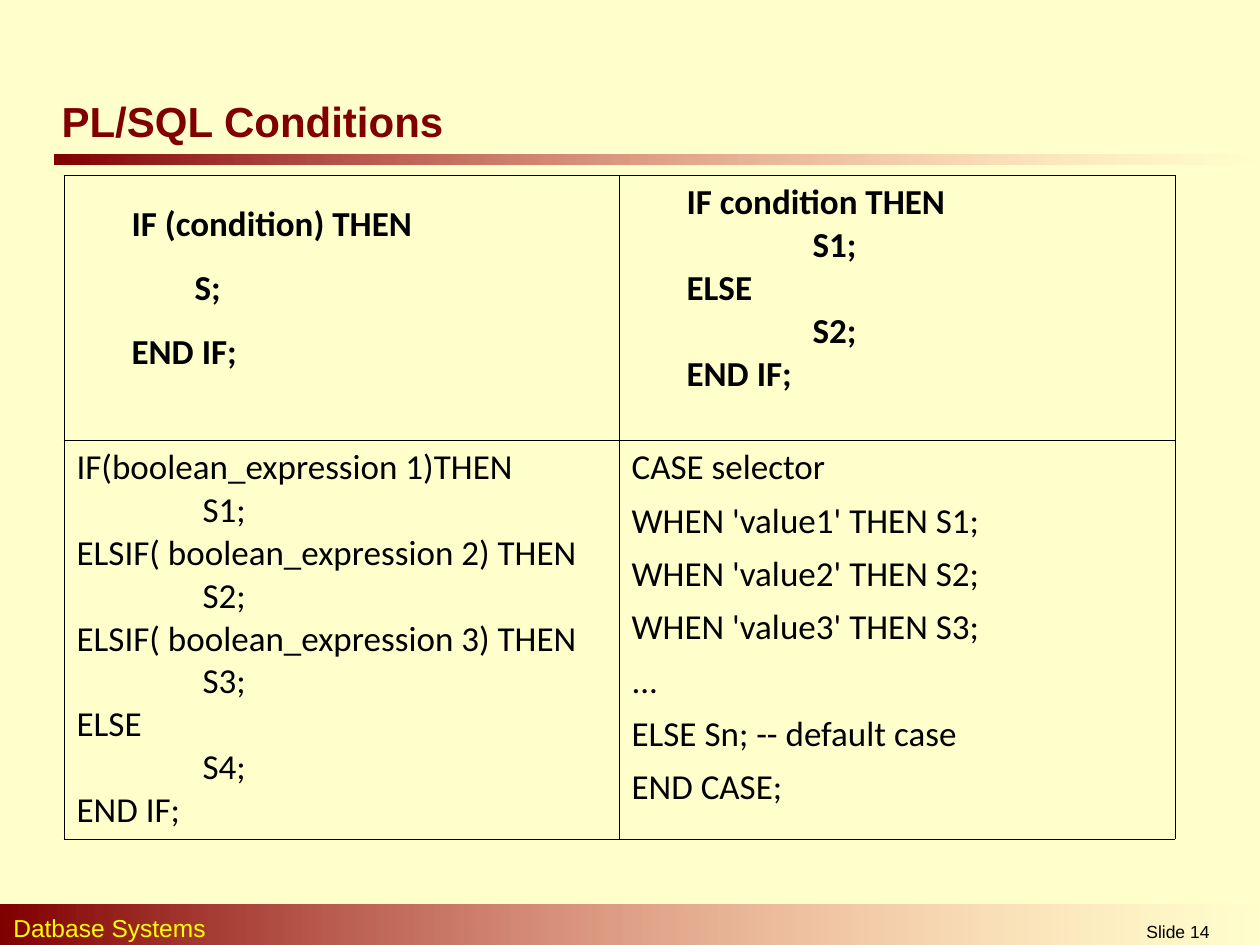
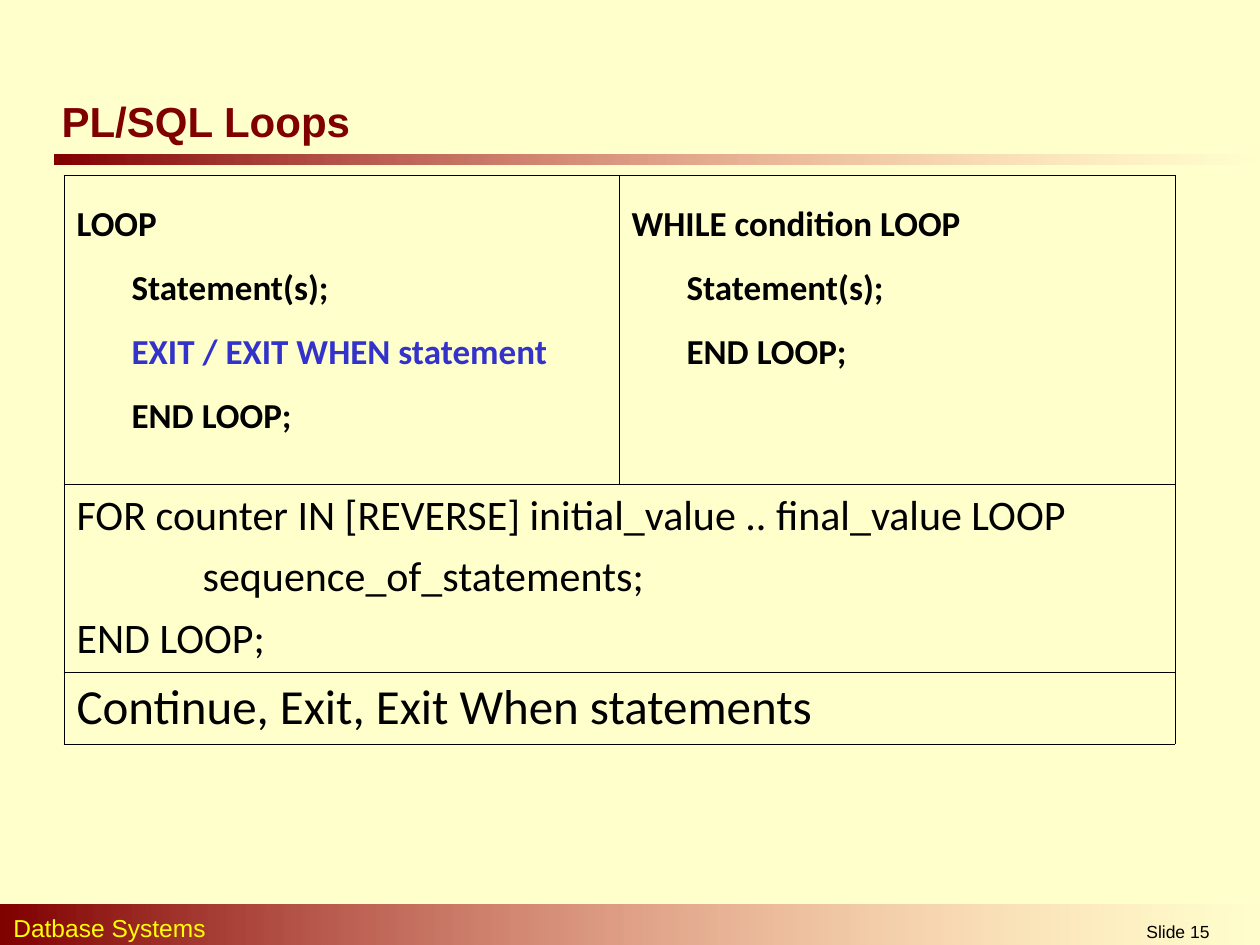
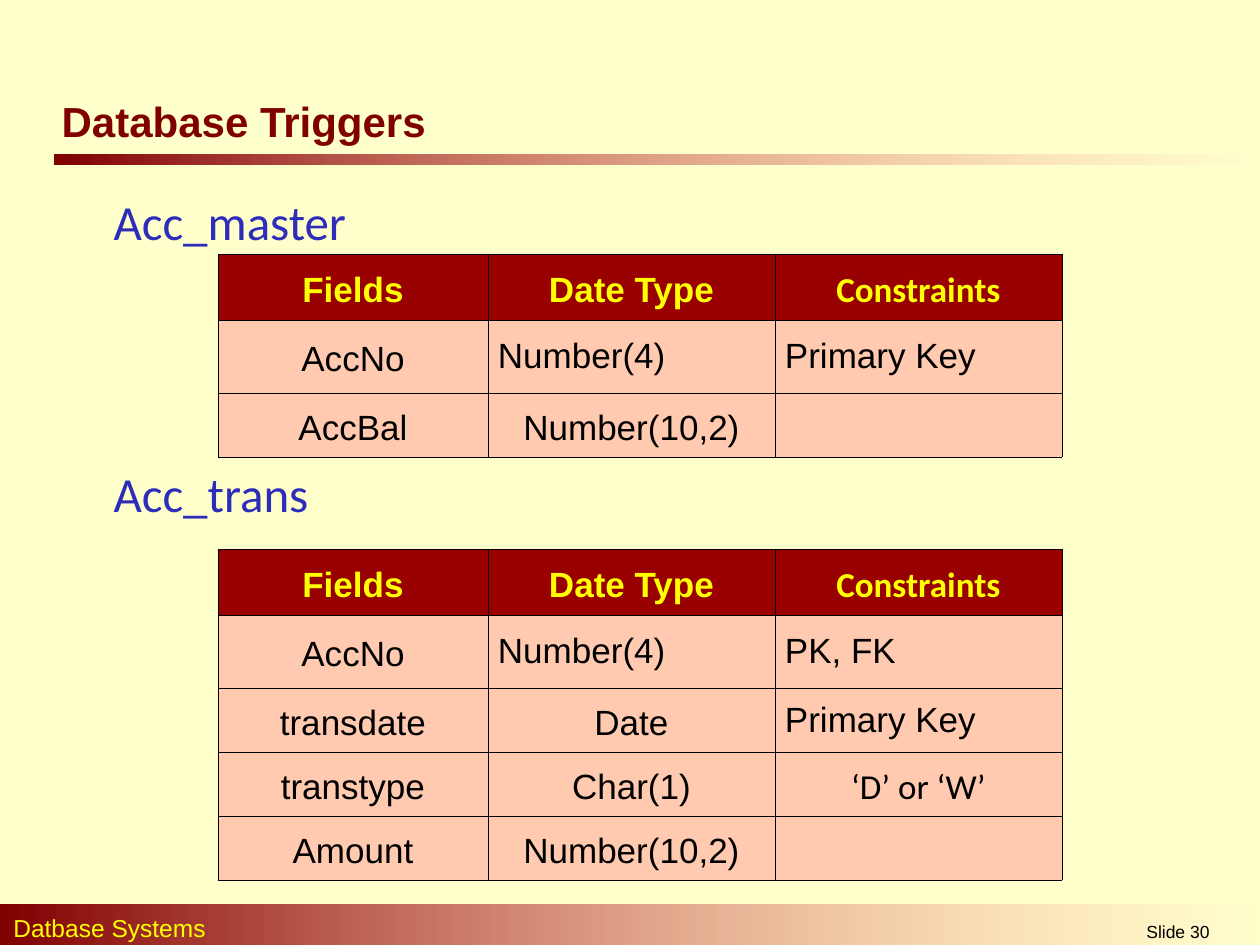
from pptx import Presentation
from pptx.dml.color import RGBColor
from pptx.enum.shapes import MSO_SHAPE
from pptx.enum.text import MSO_ANCHOR, MSO_AUTO_SIZE, PP_ALIGN
from pptx.oxml.ns import qn
from pptx.util import Emu, Pt
from lxml import etree

RECT = MSO_SHAPE.RECTANGLE
MIDDLE, TOP = MSO_ANCHOR.MIDDLE, MSO_ANCHOR.TOP
NO_FIT = MSO_AUTO_SIZE.NONE
LEFT, CENTER = PP_ALIGN.LEFT, PP_ALIGN.CENTER

EMU_PER_PX = 914400 / 126
COLORS = {
    "background": "FFFFCC",
    "maroon": "800000",
    "fade": "FF8585",
    "yellow": "FFFF00",
    "black": "000000",
    "exit": "3333CC",
    "table_name": "2D2DB9",
    "header": "990000",
    "field": "FFCAAF",
}
HEADING, BODY = "Arial", "Calibri"
TITLE_ONLY, TITLE_AND_BODY = 5, 1

CODE_LEFT, CODE_TOP, CODE_COLS = 64, 175, [555, 556]
STEP, DEEP_STEP, TAB = 55, 118, 126

FIELD_LEFT, FIELD_COLS = 218, [270, 287, 287]
HEADER_ROW, KEY_ROW, FIELD_ROW = 66, 73, 64
FIELD_HEADER = ["Fields", "Date Type", "Constraints"]
LEFT_CELLS = {"Number(4)", "Primary Key", "PK, FK"}
BODY_FONT_CELLS = {"Constraints", "‘D’ or ‘W’"}


def px(n):
    return Emu(round(n * EMU_PER_PX))


def rgb(name):
    return RGBColor.from_string(COLORS[name])


def place(shape, left, top, width, height):
    shape.left, shape.top = px(left), px(top)
    shape.width, shape.height = px(width), px(height)


def write(p, text, size, color="black", font=BODY, bold=False, align=LEFT,
          indent=0, before=0, spacing=None):
    """Fill one paragraph; indent is in px, before in points."""
    p.text = text
    p.font.size, p.font.name, p.font.bold = Pt(size), font, bold
    p.font.color.rgb = rgb(color)
    p.alignment = align
    p.space_before = Pt(before)
    if spacing:
        p.line_spacing = spacing
    pPr = p._p.get_or_add_pPr()
    pPr.set("marL", str(px(indent)))
    pPr.set("indent", "0")


def add_paragraph(tf, index):
    return tf.add_paragraph() if index else tf.paragraphs[0]


def add_fading_band(s, *box):
    band = s.shapes.add_shape(RECT, *map(px, box))
    band.shadow.inherit = False
    band.line.fill.background()
    band.fill.gradient()
    band.fill.gradient_angle = 0
    for stop, name in zip(band.fill.gradient_stops, ("maroon", "fade")):
        stop.color.rgb = rgb(name)
    end = band._element.spPr.findall(".//" + qn("a:srgbClr"))[-1]
    etree.SubElement(end, qn("a:alpha"), val="0")


def add_label(s, box, text, size, **style):
    tf = s.shapes.add_textbox(*map(px, box)).text_frame
    tf.word_wrap = True
    write(tf.paragraphs[0], text, size, font=HEADING, **style)


def add_slide(prs, layout, title, number):
    s = prs.slides.add_slide(prs.slide_layouts[layout])
    add_fading_band(s, 54, 155, 1206, 10)
    add_fading_band(s, 0, 905, 1264, 44)
    add_label(s, (1, 907, 809, 43), "Datbase Systems", 14, color="yellow")
    add_label(s, (1047, 915, 262, 30), f"Slide {number}", 10, align=CENTER)
    place(s.shapes.title, 49, 96, 925, 49)
    tf = s.shapes.title.text_frame
    tf.auto_size, tf.vertical_anchor = NO_FIT, MIDDLE
    write(tf.paragraphs[0], title, 24, "maroon", HEADING, bold=True)
    return s


def set_borders(cell):
    tcPr = cell._tc.get_or_add_tcPr()
    for side in ("lnL", "lnR", "lnT", "lnB"):
        ln = etree.SubElement(tcPr, qn("a:" + side), w=str(Pt(0.45)))
        fill = etree.SubElement(ln, qn("a:solidFill"))
        etree.SubElement(fill, qn("a:srgbClr"), val=COLORS["black"])


def add_grid(s, left, top, cols, rows):
    """Add an unfilled, bordered table; cols and rows are sizes in px."""
    box = map(px, (left, top, sum(cols), sum(rows)))
    table = s.shapes.add_table(len(rows), len(cols), *box).table
    table.first_row = table.horz_banding = False
    for column, width in zip(table.columns, cols):
        column.width = px(width)
    for row, height in zip(table.rows, rows):
        row.height = px(height)
    for cell in table.iter_cells():
        set_borders(cell)
        cell.fill.background()
    return table


def write_code(cell, lines, size=20, **style):
    """Write (text, indent) or (text, indent, color) lines."""
    cell.vertical_anchor = TOP
    for i, (text, indent, *color) in enumerate(lines):
        write(add_paragraph(cell.text_frame, i), text, size, *color,
              indent=indent, **style)


def add_field_table(s, top, fields):
    rows = [HEADER_ROW, KEY_ROW] + [FIELD_ROW] * (len(fields) - 1)
    table = add_grid(s, FIELD_LEFT, top, FIELD_COLS, rows)
    for r, values in enumerate([FIELD_HEADER] + fields):
        for c, text in enumerate(values):
            cell = table.cell(r, c)
            cell.fill.solid()
            cell.fill.fore_color.rgb = rgb("field" if r else "header")
            cell.vertical_anchor = MIDDLE
            cell.margin_left = cell.margin_right = px(10)
            at_left = text in LEFT_CELLS
            write(cell.text_frame.paragraphs[0], text, 20,
                  "black" if r else "yellow",
                  BODY if text in BODY_FONT_CELLS else HEADING,
                  bold=r == 0,
                  align=LEFT if at_left else CENTER,
                  spacing=None if at_left else 1.15)


def build_conditions(prs):
    s = add_slide(prs, TITLE_ONLY, "PL/SQL Conditions", 14)
    table = add_grid(s, CODE_LEFT, CODE_TOP, CODE_COLS, [265, 399])
    write_code(table.cell(0, 0), [
        ("IF (condition) THEN", STEP),
        ("S;", DEEP_STEP),
        ("END IF;", STEP),
    ], bold=True, spacing=1.5)
    write_code(table.cell(0, 1), [
        ("IF condition THEN", STEP),
        ("S1;", STEP + TAB),
        ("ELSE", STEP),
        ("S2;", STEP + TAB),
        ("END IF;", STEP),
    ], bold=True)
    write_code(table.cell(1, 0), [
        ("IF(boolean_expression 1)THEN", 0),
        ("S1;", TAB),
        ("ELSIF( boolean_expression 2) THEN", 0),
        ("S2;", TAB),
        ("ELSIF( boolean_expression 3) THEN", 0),
        ("S3;", TAB),
        ("ELSE", 0),
        ("S4;", TAB),
        ("END IF;", 0),
    ])
    cases = [(f"WHEN 'value{n}' THEN S{n};", 0) for n in (1, 2, 3)]
    write_code(table.cell(1, 1), [
        ("CASE selector", 0),
        *cases,
        ("...", 0),
        ("ELSE Sn; -- default case", 0),
        ("END CASE;", 0),
    ], before=6)


def build_loops(prs):
    s = add_slide(prs, TITLE_ONLY, "PL/SQL Loops", 15)
    table = add_grid(s, CODE_LEFT, CODE_TOP, CODE_COLS, [309, 188, 72])
    for row in (1, 2):
        table.cell(row, 0).merge(table.cell(row, 1))
    write_code(table.cell(0, 0), [
        ("LOOP", 0),
        ("Statement(s);", STEP),
        ("EXIT / EXIT WHEN statement", STEP, "exit"),
        ("END LOOP;", STEP),
    ], bold=True, spacing=1.5)
    write_code(table.cell(0, 1), [
        ("WHILE condition LOOP", 0),
        ("Statement(s);", STEP),
        ("END LOOP;", STEP),
    ], bold=True, spacing=1.5)
    write_code(table.cell(1, 0), [
        ("FOR counter IN [REVERSE] initial_value .. final_value LOOP", 0),
        ("sequence_of_statements;", TAB),
        ("END LOOP;", 0),
    ], size=24, before=6)
    write_code(table.cell(2, 0), [
        ("Continue, Exit, Exit When statements", 0),
    ], size=28, before=6)


def build_triggers(prs):
    s = add_slide(prs, TITLE_AND_BODY, "Database Triggers", 30)
    body = s.placeholders[1]
    place(body, 38, 185, 1205, 728)
    tf = body.text_frame
    tf.auto_size = NO_FIT
    for i, (name, before) in enumerate([("Acc_master", 0), ("Acc_trans", 122)]):
        p = add_paragraph(tf, i)
        write(p, name, 28, "table_name", indent=63, before=before)
        bullet = etree.Element(qn("a:buNone"))
        p._p.pPr.find(qn("a:defRPr")).addprevious(bullet)
    add_field_table(s, 254, [
        ["AccNo", "Number(4)", "Primary Key"],
        ["AccBal", "Number(10,2)", ""],
    ])
    add_field_table(s, 549, [
        ["AccNo", "Number(4)", "PK, FK"],
        ["transdate", "Date", "Primary Key"],
        ["transtype", "Char(1)", "‘D’ or ‘W’"],
        ["Amount", "Number(10,2)", ""],
    ])


def main():
    prs = Presentation()
    prs.slide_width, prs.slide_height = px(1260), px(945)
    background = prs.slide_master.background.fill
    background.solid()
    background.fore_color.rgb = rgb("background")
    build_conditions(prs)
    build_loops(prs)
    build_triggers(prs)
    prs.save("out.pptx")


if __name__ == "__main__":
    main()
